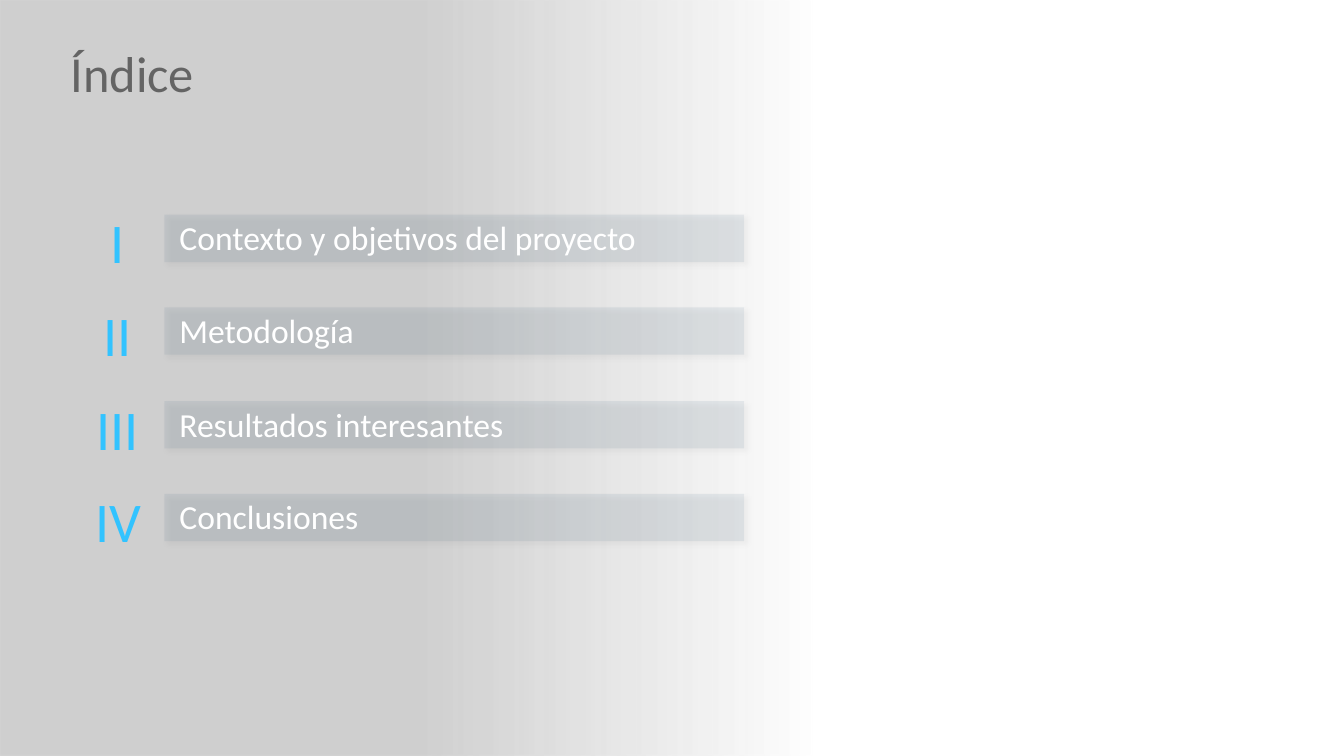
"""Builds the index slide: a fading grey panel and four numbered section bars."""
from lxml.etree import SubElement
from pptx import Presentation
from pptx.dml.color import RGBColor
from pptx.enum.shapes import MSO_SHAPE
from pptx.enum.text import MSO_ANCHOR, MSO_AUTO_SIZE, PP_ALIGN
from pptx.oxml.ns import qn
from pptx.util import Emu, Pt

EMU_PER_PX = 9144
SECTIONS = [
    ("I", "Contexto y objetivos del proyecto"),
    ("II", "Metodología"),
    ("III", "Resultados interesantes"),
    ("IV", "Conclusiones"),
]
FIRST_BAR_TOP, LAST_BAR_TOP = 213, 490
GREY, BAR_BLUE, NUMERAL_BLUE, WHITE = "646464", "4D728D", "32C3FF", "FFFFFF"


def px(length):
    return Emu(length * EMU_PER_PX)


def color(hex_string):
    return RGBColor.from_string(hex_string)


def set_opacity(shape, *percents):
    for rgb, percent in zip(shape.element.iter(qn("a:srgbClr")), percents):
        SubElement(rgb, qn("a:alpha"), val=str(percent * 1000))


def add_rectangle(slide, left, top, width, height):
    shape = slide.shapes.add_shape(
        MSO_SHAPE.RECTANGLE, px(left), px(top), px(width), px(height))
    shape.shadow.inherit = False
    shape.line.fill.background()
    return shape


def add_fading_panel(slide):
    panel = add_rectangle(slide, 0, 0, 806, 750)
    panel.fill.gradient()
    panel.fill.gradient_angle = 0
    for stop, position in zip(panel.fill.gradient_stops, (0.52, 1)):
        stop.position = position
        stop.color.rgb = color(GREY)
    set_opacity(panel, 30, 0)
    slide.shapes.title.element.addprevious(panel.element)


def add_bar(slide, top):
    bar = add_rectangle(slide, 163, top, 575, 47)
    bar.fill.solid()
    bar.fill.fore_color.rgb = color(BAR_BLUE)
    effects = bar.element.spPr.find(qn("a:effectLst"))
    shadow = SubElement(
        effects, qn("a:outerShdw"), blurRad=str(Pt(4)), dist=str(Pt(3)),
        dir=str(45 * 60000), algn="tl", rotWithShape="0")
    SubElement(shadow, qn("a:srgbClr"), val="000000")
    set_opacity(bar, 10, 40)


def format_text(frame, text, size, hex_string, alignment, line_spacing):
    frame.text = text
    frame.word_wrap = True
    frame.auto_size = MSO_AUTO_SIZE.NONE
    para = frame.paragraphs[0]
    para.alignment = alignment
    para.line_spacing = line_spacing
    font = para.runs[0].font
    font.name = "Calibri"
    font.size = Pt(size)
    font.color.rgb = color(hex_string)


def add_text_box(slide, left, top, width, height, inset_top=0):
    box = slide.shapes.add_textbox(px(left), px(top), px(width), px(height))
    frame = box.text_frame
    frame.margin_left = frame.margin_right = frame.margin_bottom = 0
    frame.margin_top = px(inset_top)
    return frame


def add_section(slide, top, numeral, label):
    add_bar(slide, top)
    label_frame = add_text_box(slide, 178, top, 564, 47, inset_top=4)
    label_frame.vertical_anchor = MSO_ANCHOR.MIDDLE
    format_text(label_frame, label, 24, WHITE, PP_ALIGN.LEFT, 0.85)
    numeral_frame = add_text_box(slide, 84, top - 7, 66, 67)
    format_text(numeral_frame, numeral, 40, NUMERAL_BLUE, PP_ALIGN.CENTER, 1.0)


def place_title(slide, text):
    title = slide.shapes.title
    title.left, title.top, title.width, title.height = map(px, (60, 37, 1213, 78))
    title.text_frame.vertical_anchor = MSO_ANCHOR.MIDDLE
    format_text(title.text_frame, text, 36, GREY, PP_ALIGN.LEFT, 0.85)


def main():
    deck = Presentation()
    deck.slide_width, deck.slide_height = px(1333), px(750)
    slide = deck.slides.add_slide(deck.slide_layouts[5])
    place_title(slide, "Índice")
    add_fading_panel(slide)
    pitch = (LAST_BAR_TOP - FIRST_BAR_TOP) / (len(SECTIONS) - 1)
    for index, (numeral, label) in enumerate(SECTIONS):
        add_section(slide, round(FIRST_BAR_TOP + index * pitch), numeral, label)
    deck.save("out.pptx")


if __name__ == "__main__":
    main()
